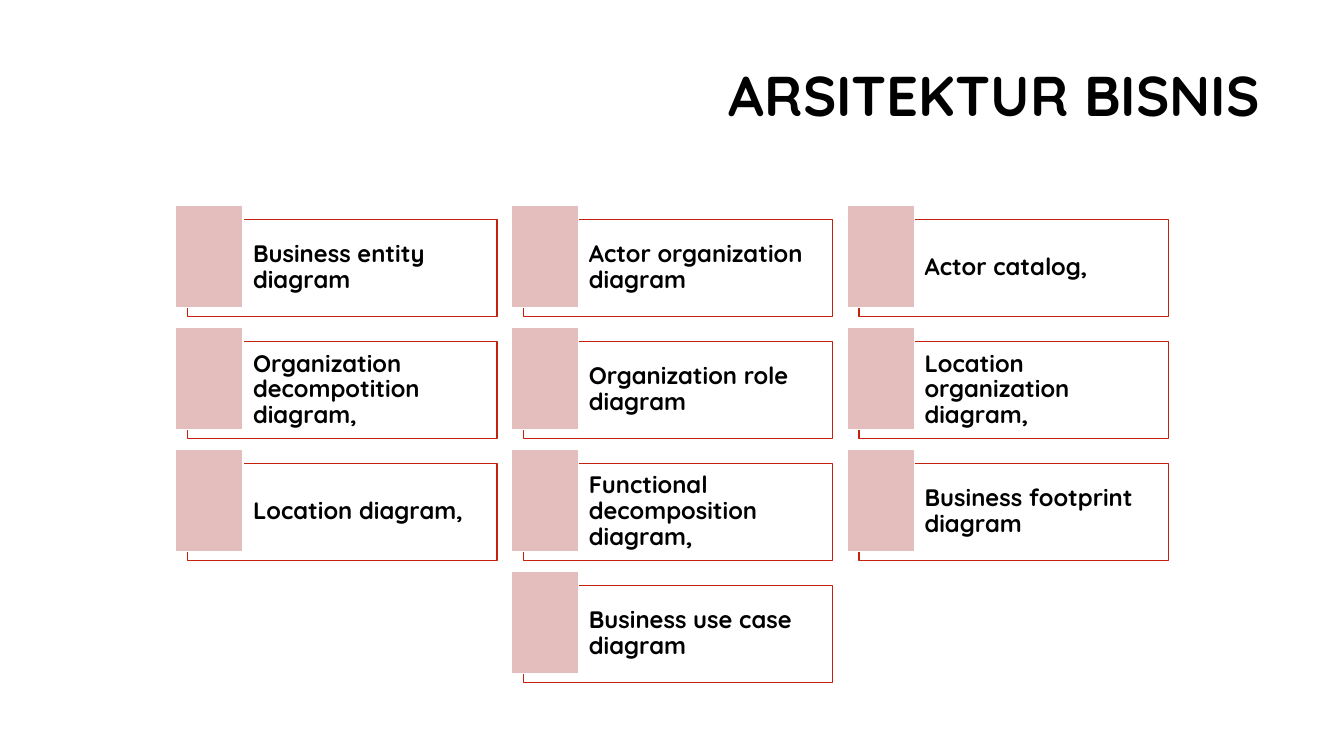
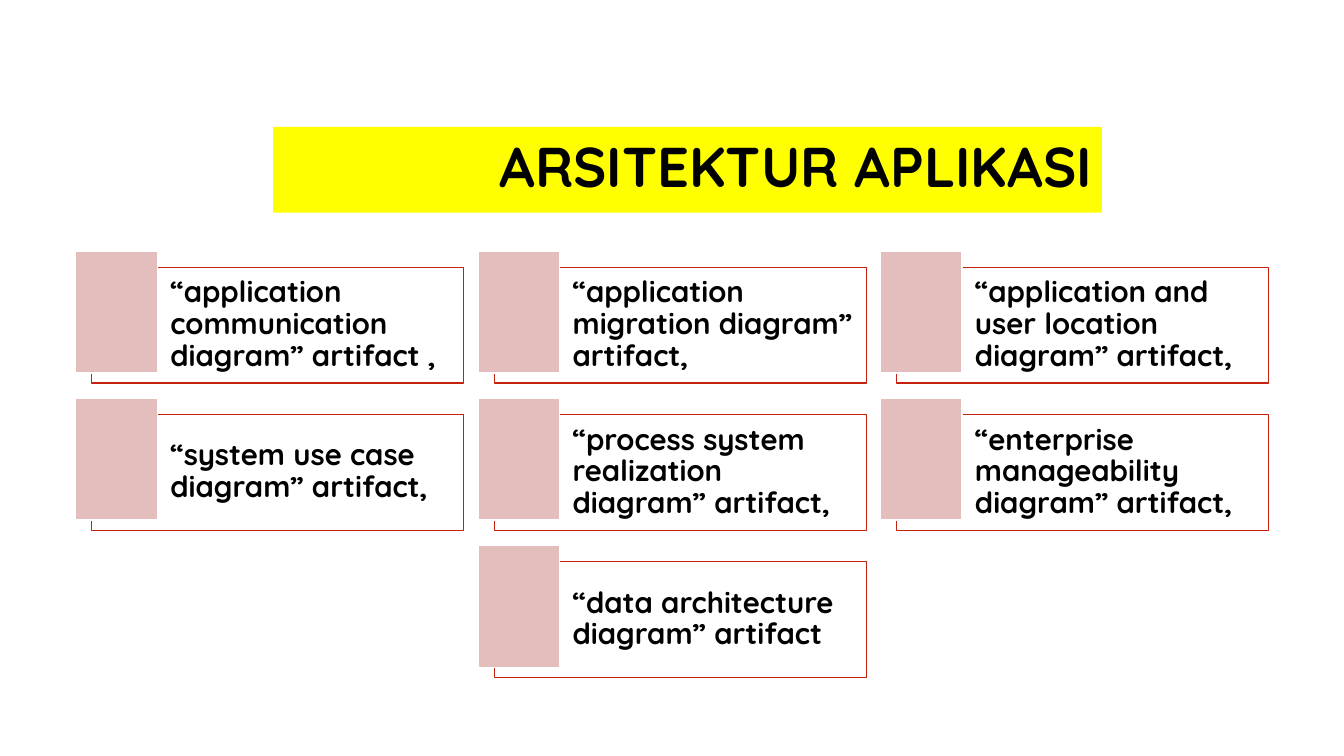
from lxml import etree
from pptx import Presentation
from pptx.dml.color import RGBColor
from pptx.enum import shapes, text
from pptx.oxml import ns
from pptx.util import Inches, Pt

BLACK = RGBColor(0x00, 0x00, 0x00)
WHITE = RGBColor(0xFF, 0xFF, 0xFF)
RED = RGBColor(0xC4, 0x22, 0x0D)
PINK = RGBColor(0xE4, 0xBD, 0xBD)
YELLOW = RGBColor(0xFF, 0xFF, 0x00)
FONT = "Quicksand"
COLS = 3


def write(shape, words, size, align=text.PP_ALIGN.LEFT, left=0.1, pad=0.1):
    """Put bold text in a shape, centred vertically."""
    frame = shape.text_frame
    frame.word_wrap = True
    frame.vertical_anchor = text.MSO_ANCHOR.MIDDLE
    frame.margin_left = Inches(left)
    frame.margin_right = Inches(pad)
    frame.margin_top = frame.margin_bottom = Inches(min(pad, 0.05))
    para = frame.paragraphs[0]
    para.alignment = align
    para.line_spacing = 0.9
    run = para.add_run()
    run.text = words
    font = run.font
    font.name, font.size, font.bold = FONT, Pt(size), True
    font.color.rgb = BLACK


class Deck:
    """Holds the shared style and the current slide."""

    def __init__(self):
        self.prs = Presentation()
        self.prs.slide_width = Inches(13.33)
        self.prs.slide_height = Inches(7.5)
        self.slide = None

    def page(self):
        self.slide = self.prs.slides.add_slide(self.prs.slide_layouts[6])

    def title(self, words, x, y, w, h, fill=None):
        box = self.slide.shapes.add_textbox(*map(Inches, (x, y, w, h)))
        if fill is not None:
            box.fill.solid()
            box.fill.fore_color.rgb = fill
        write(box, words, 40, align=text.PP_ALIGN.RIGHT)

    def rect(self, x, y, w, h, fill, line, width, alpha=None):
        box = self.slide.shapes.add_shape(
            shapes.MSO_SHAPE.RECTANGLE, *map(Inches, (x, y, w, h)))
        box.shadow.inherit = False
        box.fill.solid()
        box.fill.fore_color.rgb = fill
        box.line.color.rgb = line
        box.line.width = Pt(width)
        if alpha is not None:
            tone = box.fill._xPr.find(ns.qn("a:solidFill"))[0]
            etree.SubElement(tone, ns.qn("a:alpha"), val=str(alpha * 1000))
        return box

    def card(self, words, x, y, w, h, tab, size, left, pad):
        """A framed label with a pink tab over its upper left corner."""
        dx, dy, tw, th = tab
        frame = self.rect(x, y, w, h, WHITE, RED, 0.75, alpha=40)
        write(frame, words, size, left=left, pad=pad)
        self.rect(x - dx, y - dy, tw, th, PINK, WHITE, 1)

    def grid(self, labels, x, y, dx, dy, **style):
        """Cards in rows of COLS; a short last row is centred."""
        for start in range(0, len(labels), COLS):
            row = labels[start:start + COLS]
            shift = (COLS - len(row)) / 2
            for col, words in enumerate(row):
                self.card(words, x + (col + shift) * dx,
                          y + start // COLS * dy, **style)


def main():
    deck = Deck()

    # Business architecture
    deck.page()
    deck.title("ARSITEKTUR BISNIS", 3.17, 0.27, 9.42, 1.41)
    deck.grid([
        "Business entity diagram",
        "Actor organization diagram",
        "Actor catalog,",
        "Organization decompotition diagram,",
        "Organization role diagram",
        "Location organization diagram,",
        "Location diagram,",
        "Functional decomposition diagram,",
        "Business footprint diagram",
        "Business use case diagram",
    ], 1.86, 2.18, 3.33, 1.21, w=3.07, h=0.96,
        tab=(0.12, 0.14, 0.67, 1.01), size=17, left=0.65, pad=0.07)

    # Application architecture
    deck.page()
    deck.title("ARSITEKTUR APLIKASI", 2.71, 1.26, 8.22, 0.85, fill=YELLOW)
    deck.grid([
        "“application communication diagram” artifact ,",
        "“application migration diagram” artifact,",
        "“application and user location diagram” artifact,",
        "“system use case diagram” artifact,",
        "“process system realization diagram” artifact,",
        "“enterprise manageability diagram” artifact,",
        "“data architecture diagram” artifact",
    ], 0.91, 2.65, 3.99, 1.46, w=3.69, h=1.15,
        tab=(0.16, 0.16, 0.81, 1.21), size=21, left=0.78, pad=0.09)

    deck.prs.save("out.pptx")


if __name__ == "__main__":
    main()
